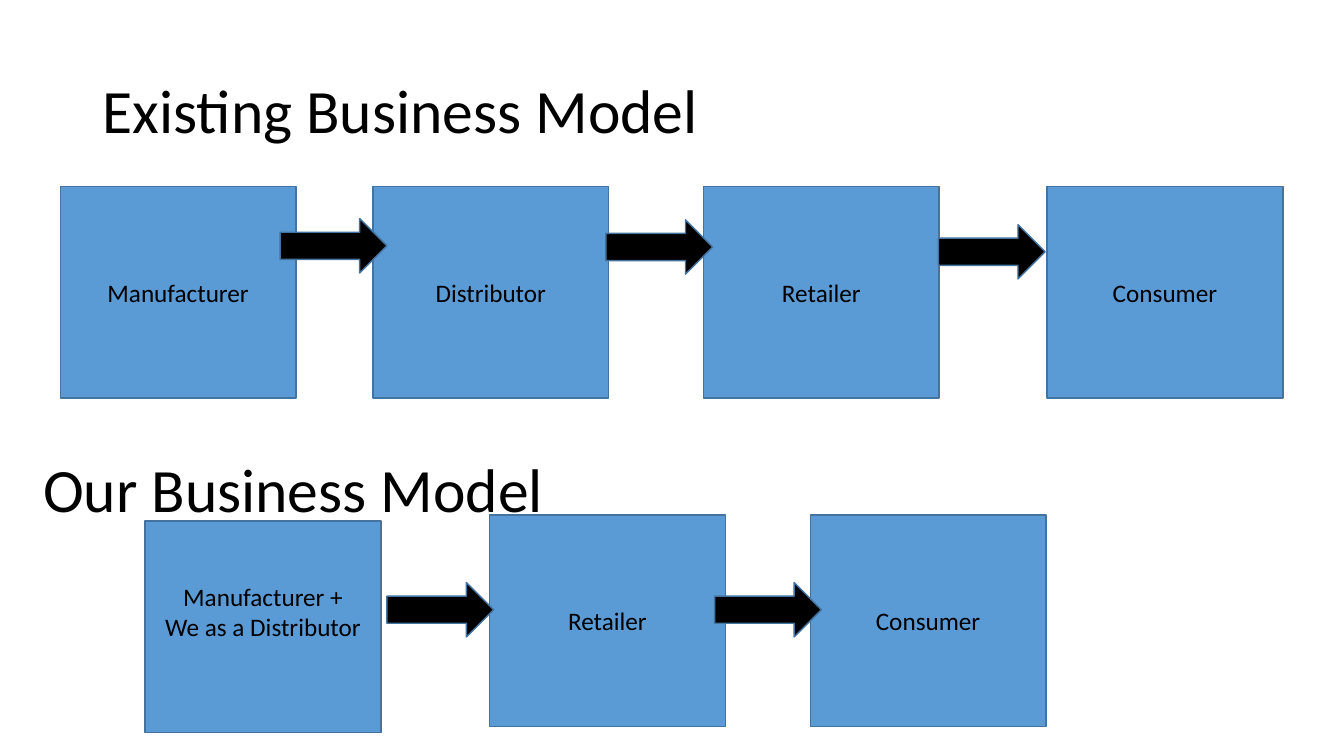
from pptx import Presentation
from pptx.dml.color import RGBColor
from pptx.enum.shapes import MSO_SHAPE
from pptx.enum.text import MSO_ANCHOR, PP_ALIGN
from pptx.util import Cm, Pt

RECTANGLE = MSO_SHAPE.RECTANGLE
RIGHT_ARROW = MSO_SHAPE.RIGHT_ARROW
MIDDLE = MSO_ANCHOR.MIDDLE
LEFT = PP_ALIGN.LEFT
CENTER = PP_ALIGN.CENTER

EXISTING_STAGES = [
    ("Manufacturer", 1.52),
    ("Distributor", 9.4),
    ("Retailer", 17.73),
    ("Consumer", 26.39),
]
OUR_STAGES = [("Retailer", 12.34), ("Consumer", 20.42)]
ARROWS = [(18.01, 14.68), (23.65, 5.66), (9.75, 14.68), (15.27, 5.54), (7.06, 5.51)]


def color(value):
    return RGBColor.from_string(value)


def write_text(shape, text, size=18, align=CENTER, spacing=1.0, bottom=0.13):
    frame = shape.text_frame
    frame.word_wrap = True
    frame.vertical_anchor = MIDDLE
    frame.margin_bottom = Cm(bottom)
    paragraph = frame.paragraphs[0]
    paragraph.text = text
    paragraph.alignment = align
    paragraph.line_spacing = spacing
    for run in paragraph.runs:
        run.font.name = "Calibri"
        run.font.size = Pt(size)
        run.font.color.rgb = color("000000")


class ModelSlide:
    box_fill = "5B9BD5"
    arrow_fill = "000000"
    outline = "43739E"

    def __init__(self, presentation):
        self.slide = presentation.slides.add_slide(presentation.slide_layouts[6])

    def heading(self, text, left, top):
        shape = self.slide.shapes.add_textbox(Cm(left), Cm(top), Cm(29.21), Cm(3.68))
        write_text(shape, text, size=44, align=LEFT, spacing=0.9)

    def filled_shape(self, kind, left, top, width, height, fill):
        shape = self.slide.shapes.add_shape(kind, Cm(left), Cm(top), Cm(width), Cm(height))
        shape.shadow.inherit = False
        shape.fill.solid()
        shape.fill.fore_color.rgb = color(fill)
        shape.line.color.rgb = color(self.outline)
        shape.line.width = Pt(1)
        return shape

    def stage(self, text, left, top, **text_format):
        shape = self.filled_shape(RECTANGLE, left, top, 5.94, 5.33, self.box_fill)
        write_text(shape, text, **text_format)

    def arrow(self, left, top):
        self.filled_shape(RIGHT_ARROW, left, top, 2.69, 1.37, self.arrow_fill)


def main():
    presentation = Presentation()
    presentation.slide_width = Cm(33.87)
    presentation.slide_height = Cm(19.05)
    model = ModelSlide(presentation)

    model.heading("Existing Business Model", 2.34, 1.02)
    for name, left in EXISTING_STAGES:
        model.stage(name, left, 4.7)

    model.heading("Our Business Model", 0.84, 10.57)
    model.stage("Manufacturer +\nWe as a Distributor", 3.66, 13.13, bottom=0.9)
    for name, left in OUR_STAGES:
        model.stage(name, left, 12.98)

    for left, top in ARROWS:
        model.arrow(left, top)

    presentation.save("out.pptx")


if __name__ == "__main__":
    main()
